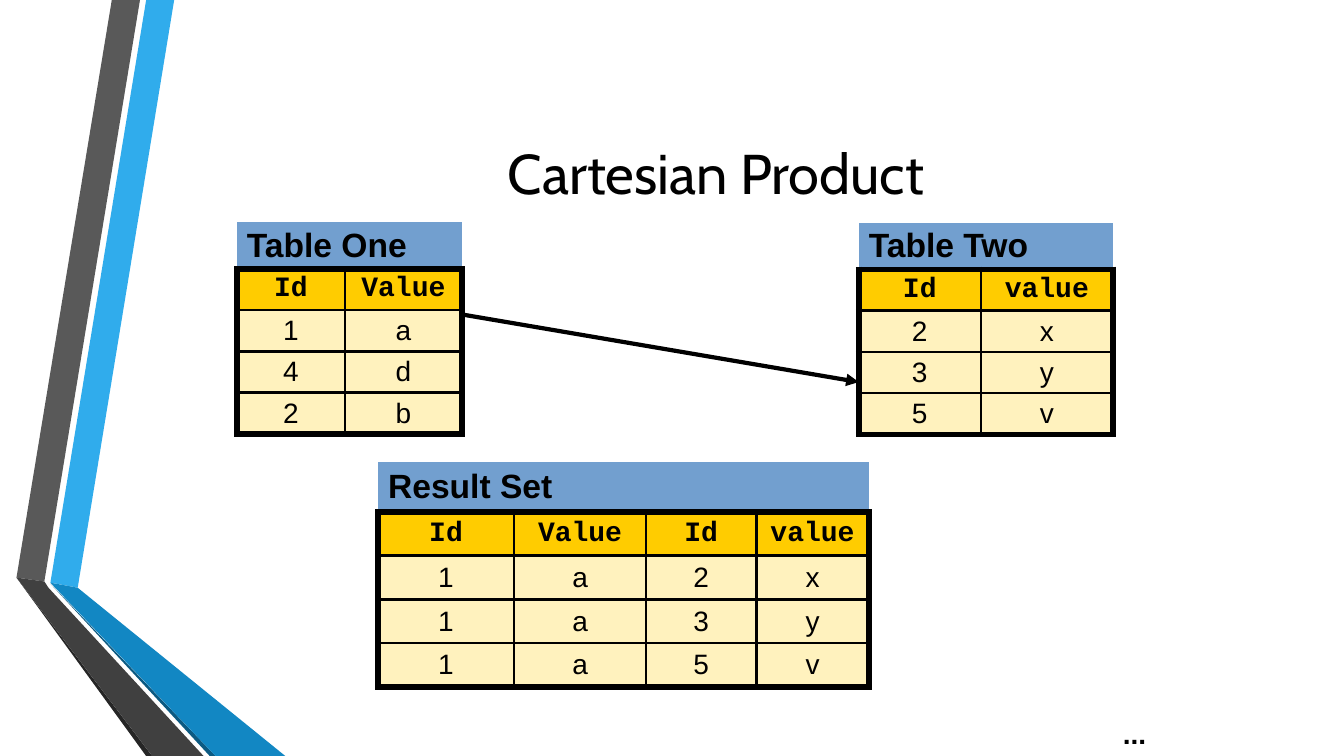
from lxml import etree
from pptx import Presentation
from pptx.dml.color import RGBColor
from pptx.enum import shapes, text
from pptx.oxml import ns
from pptx.util import Pt

BLACK = RGBColor(0, 0, 0)
TITLE_BLUE = RGBColor(0x72, 0x9F, 0xCF)
HEADER_GOLD = RGBColor(0xFF, 0xCC, 0x00)
BODY_CREAM = RGBColor(0xFF, 0xF2, 0xBE)
SKY = RGBColor(0x30, 0xAC, 0xEC)
GREY = RGBColor(0x59, 0x59, 0x59)
NEAR_BLACK = RGBColor(0x26, 0x26, 0x26)
NAVY = RGBColor(0x0C, 0x5A, 0x82)
BLUE = RGBColor(0x12, 0x87, 0xC3)
CHARCOAL = RGBColor(0x40, 0x40, 0x40)
THICK, THIN = 4.48, 1.98


def write(tf, content, font="Arial", size=20, bold=False, align=text.PP_ALIGN.CENTER):
    p = tf.paragraphs[0]
    p.alignment = align
    r = p.add_run()
    r.text = content
    r.font.name = font
    r.font.size = Pt(size)
    r.font.bold = bold
    r.font.color.rgb = BLACK


def set_borders(cell, **widths):
    tcPr = cell._tc.get_or_add_tcPr()
    for i, side in enumerate("LRTB"):
        width = widths.get(side, 0)
        ln = etree.Element(ns.qn("a:ln" + side), w=str(Pt(width)))
        if width:
            fill = etree.SubElement(ln, ns.qn("a:solidFill"))
            etree.SubElement(fill, ns.qn("a:srgbClr"), val=str(BLACK))
        else:
            etree.SubElement(ln, ns.qn("a:noFill"))
        tcPr.insert(i, ln)


prs = Presentation()
prs.slide_width, prs.slide_height = Pt(960), Pt(540)
s = prs.slides.add_slide(prs.slide_layouts[6])

ribbons = [
    (SKY, [(36, 416.2), (55.5, 419.8), (124.4, 0), (104.4, 0)]),
    (GREY, [(100, 0), (79.9, 0), (11.8, 412.6), (31.7, 415.4)]),
    (NEAR_BLACK, [(11.8, 412.6), (104.4, 540), (108.7, 540)]),
    (NAVY, [(36, 416.9), (149.8, 540), (154, 540)]),
    (BLUE, [(36, 416.2), (154, 540), (203.8, 540), (55.5, 419.8)]),
    (CHARCOAL, [(145.4, 540), (34.6, 419.8), (31.7, 415.4), (11.8, 412.6), (108.7, 540)]),
]
for color, points in ribbons:
    corners = [(Pt(x), Pt(y)) for x, y in points]
    fb = s.shapes.build_freeform(*corners[0])
    fb.add_line_segments(corners[1:], close=True)
    sp = fb.convert_to_shape()
    sp.shadow.inherit = False
    sp.fill.solid()
    sp.fill.fore_color.rgb = color
    sp.line.fill.background()

tf = s.shapes.add_textbox(Pt(117), Pt(54), Pt(789), Pt(138)).text_frame
tf.word_wrap = True
tf.vertical_anchor = text.MSO_ANCHOR.MIDDLE
write(tf, "Cartesian Product", font="Cabin", size=40)

tables = [
    ("Table One", 169.2, 158.8, [77.2, 83.6], 33.2, 29.5,
     ["Id Value", "1 a", "4 d", "2 b"]),
    ("Table Two", 613.4, 159.2, [87.2, 94.4], 33.2, 29.5,
     ["Id value", "2 x", "3 y", "5 v"]),
    ("Result Set", 270, 330, [97.2, 94.3, 78.8, 80.3], 35.7, 31.25,
     ["Id Value Id value", "1 a 2 x", "1 a 3 y", "1 a 5 v"]),
]
for title, left, top, widths, title_height, row_height, rows in tables:
    n = len(widths)
    tbl = s.shapes.add_table(len(rows) + 1, n, Pt(left), Pt(top), Pt(sum(widths)),
                             Pt(title_height + row_height * len(rows))).table
    tbl.horz_banding = False
    for col, width in zip(tbl.columns, widths):
        col.width = Pt(width)
    for i, row in enumerate(tbl.rows):
        row.height = Pt(row_height if i else title_height)
    tbl.cell(0, 0).merge(tbl.cell(0, n - 1))
    for cell in tbl.iter_cells():
        cell.vertical_anchor = text.MSO_ANCHOR.MIDDLE
        cell.margin_top = cell.margin_bottom = Pt(2)
    for c in range(n):
        cell = tbl.cell(0, c)
        cell.fill.solid()
        cell.fill.fore_color.rgb = TITLE_BLUE
        set_borders(cell, B=THICK)
    write(tbl.cell(0, 0).text_frame, title, size=24, bold=True, align=text.PP_ALIGN.LEFT)
    for i, values in enumerate(rows):
        header = i == 0
        for c, value in enumerate(values.split()):
            cell = tbl.cell(i + 1, c)
            cell.fill.solid()
            cell.fill.fore_color.rgb = HEADER_GOLD if header else BODY_CREAM
            set_borders(cell, L=THICK if c == 0 else THIN,
                        R=THICK if c == n - 1 else THIN,
                        T=THICK if header else THIN,
                        B=THICK if i == len(rows) - 1 else THIN)
            write(cell.text_frame, value, bold=header,
                  font="Courier New" if header else "Arial")

tf = s.shapes.add_textbox(Pt(795), Pt(508.3), Pt(31), Pt(30.5)).text_frame
tf.word_wrap = False
write(tf, "...", bold=True, align=text.PP_ALIGN.LEFT)

arrow = s.shapes.add_connector(shapes.MSO_CONNECTOR.STRAIGHT,
                               Pt(329.8), Pt(224.6), Pt(613.4), Pt(272.9))
arrow.line.width = Pt(3)
arrow.line.color.rgb = BLACK
etree.SubElement(arrow._element.spPr.find(ns.qn("a:ln")), ns.qn("a:tailEnd"), type="triangle")
etree.SubElement(arrow._element.spPr, ns.qn("a:effectLst"))

prs.save("out.pptx")
